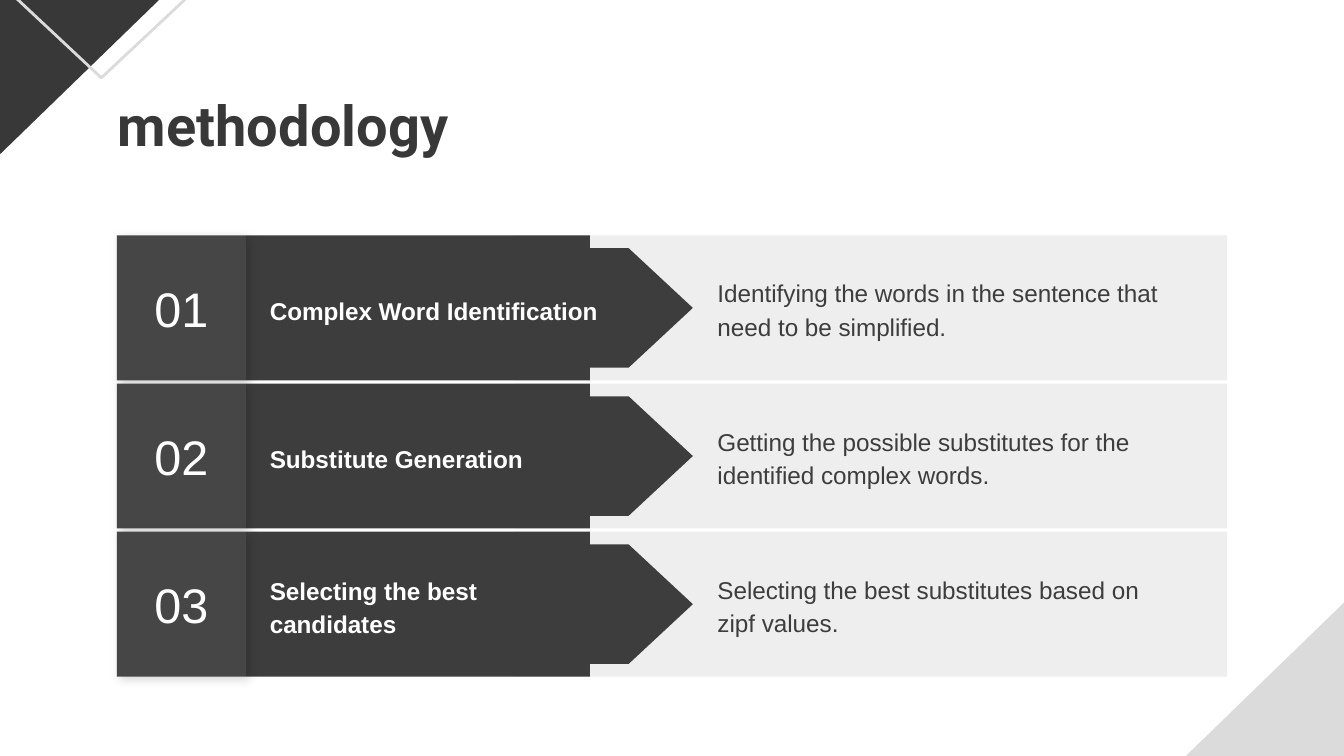
from dataclasses import dataclass

from lxml import etree
from pptx import Presentation
from pptx.dml.color import RGBColor
from pptx.enum.shapes import MSO_SHAPE
from pptx.enum.text import MSO_ANCHOR, MSO_AUTO_SIZE, PP_ALIGN
from pptx.oxml.ns import qn
from pptx.shapes.autoshape import Shape
from pptx.util import Cm, Pt

RECT = MSO_SHAPE.RECTANGLE
RIGHT_TRIANGLE = MSO_SHAPE.RIGHT_TRIANGLE
TRIANGLE = MSO_SHAPE.ISOSCELES_TRIANGLE
POINTER = MSO_SHAPE.FLOWCHART_OFFPAGE_CONNECTOR
LEFT, CENTER = PP_ALIGN.LEFT, PP_ALIGN.CENTER
TOP, MIDDLE = MSO_ANCHOR.TOP, MSO_ANCHOR.MIDDLE
NO_AUTOFIT = MSO_AUTO_SIZE.NONE


@dataclass(frozen=True)
class Theme:
    ink: str = "383838"
    bar: str = "3D3D3D"
    number_tile: str = "464646"
    panel: str = "EEEEEE"
    corner: str = "DBDBDB"
    white: str = "FFFFFF"
    title_font: str = "Roboto"
    body_font: str = "Arial"
    title_size: int = 30
    number_size: int = 26
    body_size: int = 13


@dataclass(frozen=True)
class Box:
    """Position and size in centimetres."""
    left: float
    top: float
    width: float
    height: float

    def emu(self) -> tuple:
        return Cm(self.left), Cm(self.top), Cm(self.width), Cm(self.height)


@dataclass(frozen=True)
class Step:
    name: str
    description: str


THEME = Theme()
STEPS = [
    Step("Complex Word Identification",
         "Identifying the words in the sentence that need to be simplified."),
    Step("Substitute Generation",
         "Getting the possible substitutes for the identified complex words."),
    Step("Selecting the best candidates",
         "Selecting the best substitutes based on zipf values."),
]
FIRST_TOP, ROW_PITCH, ROW_HEIGHT = 4.45, 2.8, 2.74
POINTER_CENTER, POINTER_LENGTH, POINTER_HEIGHT = 10.06, 6.07, 2.26


def add_filled(shapes, kind: int, box: Box, color: str) -> Shape:
    sp = shapes.add_shape(kind, *box.emu())
    sp.shadow.inherit = False
    sp.fill.solid()
    sp.fill.fore_color.rgb = RGBColor.from_string(color)
    sp.line.fill.background()
    return sp


def add_soft_shadow(sp: Shape) -> None:
    effects = sp._element.spPr.find(qn("a:effectLst"))
    shadow = etree.SubElement(effects, qn("a:outerShdw"), blurRad=str(Pt(5.6)),
                              dist=str(Pt(2.2)), dir="2700000", rotWithShape="0")
    color = etree.SubElement(shadow, qn("a:srgbClr"), val="000000")
    etree.SubElement(color, qn("a:alpha"), val="17000")


def write(sp: Shape, text: str, size: int, color: str, font: str = THEME.body_font,
          bold: bool = False, align: int = LEFT, anchor: int = MIDDLE,
          spacing: float = 1.0, indent: float = 0) -> None:
    tf = sp.text_frame
    tf.word_wrap = True
    tf.auto_size = NO_AUTOFIT
    tf.vertical_anchor = anchor
    tf.margin_left = tf.margin_right = tf.margin_top = tf.margin_bottom = Cm(0.25)
    p = tf.paragraphs[0]
    p.alignment = align
    p.line_spacing = spacing
    if indent:
        pPr = p._p.get_or_add_pPr()
        pPr.set("marL", str(Cm(indent)))
        pPr.set("indent", "0")
    r = p.add_run()
    r.text = text
    r.font.name = font
    r.font.size = Pt(size)
    r.font.bold = bold
    r.font.color.rgb = RGBColor.from_string(color)


def add_corners(shapes) -> None:
    for box, color, rotation in (
        (Box(20.6, 6.88, 9.45, 9.17), THEME.corner, 0),
        (Box(-2.57, -3.76, 9.45, 9.17), THEME.ink, 180),
    ):
        sp = add_filled(shapes, RIGHT_TRIANGLE, box, color)
        sp._element.spPr.xfrm.set("flipH", "1")
        sp.rotation = rotation

    outline = add_filled(shapes, TRIANGLE, Box(-5.54, -5.51, 14.91, 6.98), THEME.corner)
    outline.rotation = 180
    outline.fill.background()
    outline.line.color.rgb = RGBColor.from_string(THEME.corner)
    outline.line.width = Pt(1.5)


def add_step(shapes, index: int, step: Step) -> None:
    top = FIRST_TOP + index * ROW_PITCH
    group = shapes.add_group_shape().shapes
    add_filled(group, RECT, Box(9.73, top, 13.46, ROW_HEIGHT), THEME.panel)
    add_filled(group, RECT, Box(4.65, top, 6.5, ROW_HEIGHT), THEME.bar)

    # The pointer is drawn facing down, then turned to the right about its centre.
    pointer_box = Box(POINTER_CENTER - POINTER_HEIGHT / 2,
                      top + (ROW_HEIGHT - POINTER_LENGTH) / 2,
                      POINTER_HEIGHT, POINTER_LENGTH)
    add_filled(group, POINTER, pointer_box, THEME.bar).rotation = 270

    label = group.add_textbox(*Box(4.85, top + 0.33, 6.83, 2.11).emu())
    write(label, step.name, THEME.body_size, THEME.white, bold=True, spacing=1.15)

    tile = add_filled(group, RECT, Box(2.21, top, 2.44, ROW_HEIGHT), THEME.number_tile)
    add_soft_shadow(tile)
    write(tile, f"{index + 1:02d}", THEME.number_size, THEME.white, align=CENTER)

    description = group.add_textbox(*Box(12.04, top, 10.46, ROW_HEIGHT).emu())
    write(description, step.description, THEME.body_size, THEME.bar,
          spacing=1.15, indent=1.27)


def main() -> None:
    prs = Presentation()
    prs.slide_width, prs.slide_height = Cm(25.4), Cm(14.29)
    s = prs.slides.add_slide(prs.slide_layouts[5])
    add_corners(s.shapes)

    title = s.shapes.title
    title.left, title.top, title.width, title.height = Box(1.98, 1.47, 21.41, 1.47).emu()
    write(title, "methodology", THEME.title_size, THEME.ink,
          font=THEME.title_font, bold=True, anchor=TOP)

    for index, step in enumerate(STEPS):
        add_step(s.shapes, index, step)
    prs.save("out.pptx")


if __name__ == "__main__":
    main()
